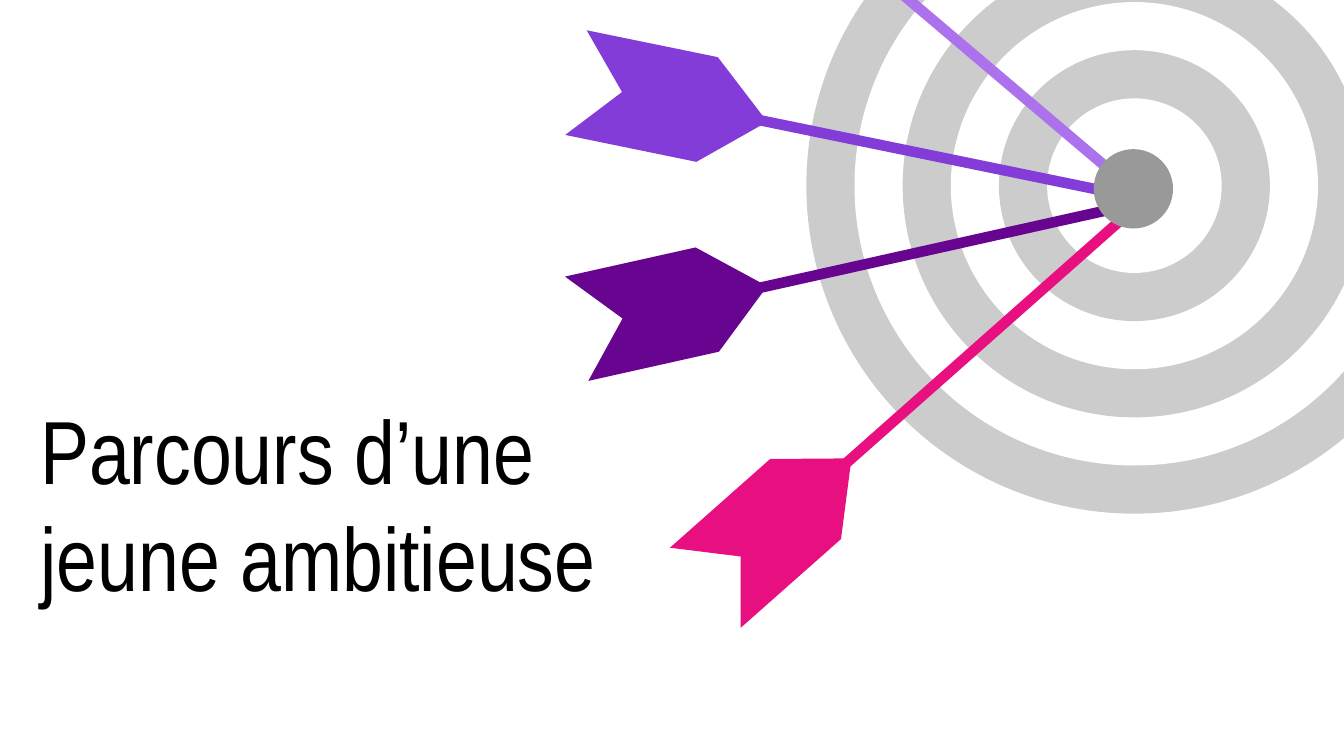
from dataclasses import dataclass
from math import hypot

from pptx import Presentation
from pptx.dml.color import RGBColor
from pptx.enum.shapes import MSO_SHAPE as Shape
from pptx.enum.text import MSO_ANCHOR as Anchor
from pptx.util import Cm, Pt


@dataclass(frozen=True)
class Theme:
    font: str = "Arial Narrow"
    title_size: int = 48
    text: str = "000000"
    ring: str = "CCCCCC"
    gap: str = "FFFFFF"
    hub: str = "999999"
    violet: str = "833CD8"
    lilac: str = "AC71EC"
    plum: str = "670591"
    pink: str = "E81080"


THEME = Theme()

# Target, in cm
TARGET_CENTRE = (21.44, 3.51)
OUTER_RADIUS = 6.2
RING_STEP = 0.91
RING_COUNT = 6

# Arrow outlines as (distance behind the feather tip, offset from the axis), in cm
SHAFT_OVERLAP = 0.46
SHAFT_HALF = 0.1
FEATHER = [(0, 0), (1.16, -1.01), (3.69, -1.01), (2.8, 0), (3.69, 1.01), (1.16, 1.01)]


def paint(shape, colour):
    shape.shadow.inherit = False
    shape.fill.solid()
    shape.fill.fore_color.rgb = RGBColor.from_string(colour)
    shape.line.fill.background()


def add_disc(page, centre, radius, colour):
    x, y = centre
    disc = page.shapes.add_shape(
        Shape.OVAL, Cm(x - radius), Cm(y - radius), Cm(2 * radius), Cm(2 * radius))
    paint(disc, colour)


def add_polygon(page, points, colour):
    corners = [(Cm(x), Cm(y)) for x, y in points]
    builder = page.shapes.build_freeform(*corners[0])
    builder.add_line_segments(corners[1:], close=True)
    paint(builder.convert_to_shape(), colour)


def add_arrow(page, start, end, colour, feathered=True):
    """Draw a shaft from start to end, with feathers around its start."""
    dx, dy = end[0] - start[0], end[1] - start[1]
    length = hypot(dx, dy)
    ux, uy = dx / length, dy / length

    def place(along, across):
        return (start[0] + along * ux - across * uy,
                start[1] + along * uy + across * ux)

    shaft = [(0, -SHAFT_HALF), (0, SHAFT_HALF),
             (length, SHAFT_HALF), (length, -SHAFT_HALF)]
    add_polygon(page, [place(*point) for point in shaft], colour)
    if feathered:
        feather = [place(SHAFT_OVERLAP - back, across) for back, across in FEATHER]
        add_polygon(page, feather, colour)


def add_title(page, text):
    box = page.shapes.add_textbox(Cm(0.51), Cm(6.99), Cm(11.43), Cm(5))
    frame = box.text_frame
    frame.word_wrap = True
    frame.vertical_anchor = Anchor.MIDDLE
    frame.margin_left = frame.margin_right = Cm(0.25)
    frame.margin_top = frame.margin_bottom = Cm(0.25)
    para = frame.paragraphs[0]
    span = para.add_run()
    span.text = text
    span.font.name = THEME.font
    span.font.size = Pt(THEME.title_size)
    span.font.color.rgb = RGBColor.from_string(THEME.text)


def main():
    deck = Presentation()
    deck.slide_width, deck.slide_height = Cm(25.4), Cm(14.29)
    page = deck.slides.add_slide(deck.slide_layouts[6])

    # Title
    add_title(page, "Parcours d’une jeune ambitieuse")

    # Target rings, from the outside in
    for index in range(RING_COUNT):
        colour = THEME.gap if index % 2 else THEME.ring
        add_disc(page, TARGET_CENTRE, OUTER_RADIUS - index * RING_STEP, colour)

    # Arrows; the feathers of the top one lie beyond the page
    add_arrow(page, (14.05, 2.21), (21.46, 3.73), THEME.violet)
    add_arrow(page, (15.72, -1.24), (21.5, 3.66), THEME.lilac, feathered=False)
    add_arrow(page, (14.05, 5.51), (21.44, 3.86), THEME.plum)
    add_arrow(page, (15.75, 8.97), (21.42, 3.95), THEME.pink)

    # Hub over the arrow points
    add_disc(page, (21.42, 3.57), 0.75, THEME.hub)

    deck.save("out.pptx")


if __name__ == "__main__":
    main()
